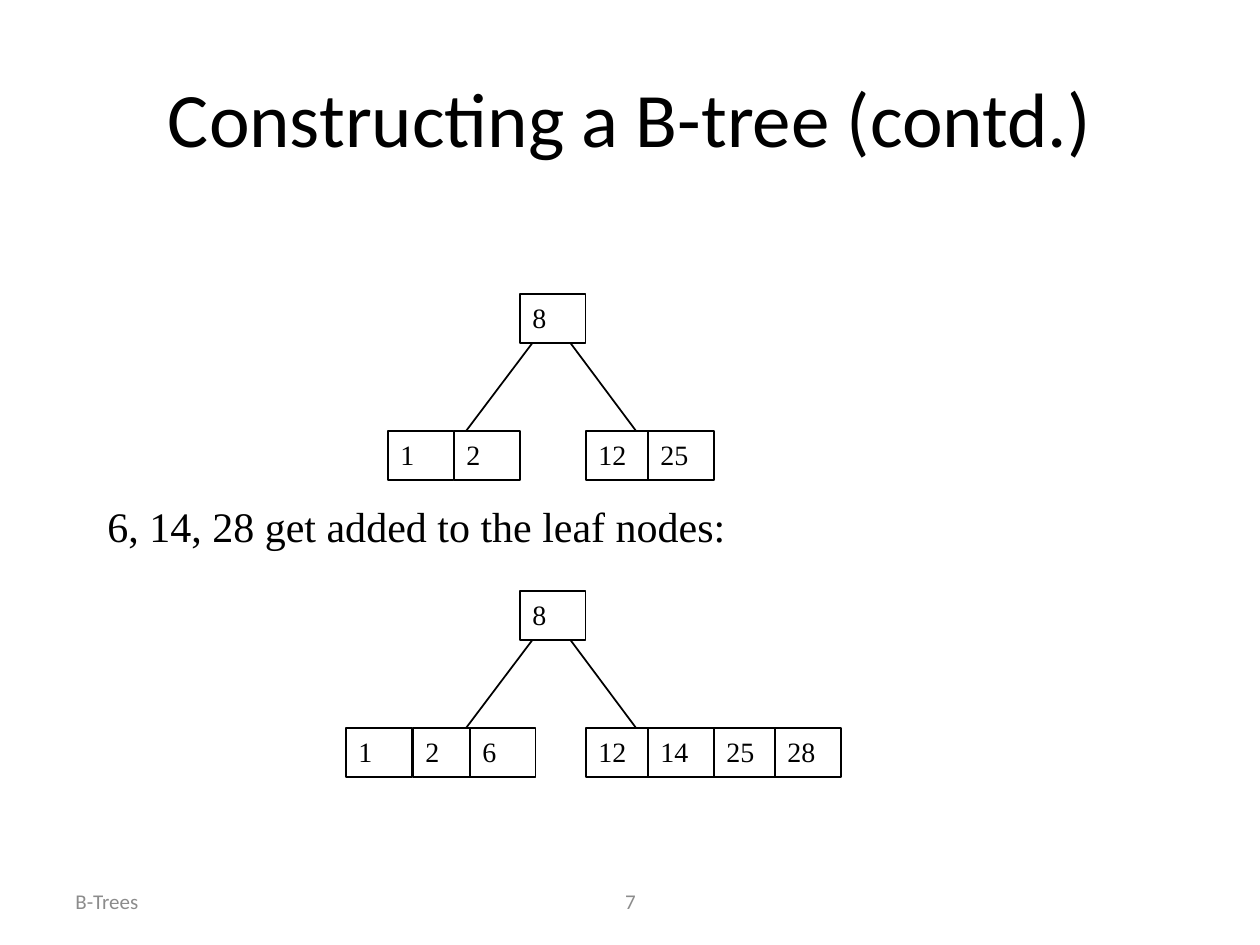
from dataclasses import dataclass

from lxml.etree import SubElement
from pptx import Presentation
from pptx.dml.color import RGBColor
from pptx.enum.shapes import MSO_CONNECTOR, MSO_SHAPE
from pptx.enum.text import MSO_ANCHOR, PP_ALIGN
from pptx.oxml.ns import qn
from pptx.util import Emu, Pt

EMU_PER_PX = 914400 // 126


@dataclass(frozen=True)
class Theme:
    ink: RGBColor = RGBColor(0x00, 0x00, 0x00)
    paper: RGBColor = RGBColor(0xFF, 0xFF, 0xFF)
    muted: RGBColor = RGBColor(0x8C, 0x8C, 0x8C)
    sans: str = "Calibri"
    serif: str = "Times New Roman"
    title_size: int = 44
    body_size: int = 24
    key_size: int = 16
    footer_size: int = 12


def px(*lengths):
    return [Emu(length * EMU_PER_PX) for length in lengths]


class SlideBuilder:
    def __init__(self, slide, theme):
        self.slide = slide
        self.theme = theme

    def set_text(self, shape, text, size, font, color, align, anchor):
        frame = shape.text_frame
        frame.word_wrap = True
        frame.vertical_anchor = anchor
        paragraph = frame.paragraphs[0]
        paragraph.text = text
        paragraph.alignment = align
        paragraph.font.size = Pt(size)
        paragraph.font.name = font
        paragraph.font.color.rgb = color

    def title(self, text, left, top, width, height):
        shape = self.slide.shapes.title
        shape.left, shape.top, shape.width, shape.height = px(left, top, width, height)
        self.set_text(shape, text, self.theme.title_size, self.theme.sans,
                      self.theme.ink, PP_ALIGN.CENTER, MSO_ANCHOR.MIDDLE)

    def footer(self, text, left, width, align):
        shape = self.slide.shapes.add_textbox(*px(left, 876, width, 50))
        self.set_text(shape, text, self.theme.footer_size, self.theme.sans,
                      self.theme.muted, align, MSO_ANCHOR.MIDDLE)

    def caption(self, text, left, top, width, height):
        shape = self.slide.shapes.add_textbox(*px(left, top, width, height))
        self.set_text(shape, text, self.theme.body_size, self.theme.serif,
                      self.theme.ink, PP_ALIGN.LEFT, MSO_ANCHOR.TOP)

    def branch(self, start_x, start_y, end_x, end_y):
        connector = self.slide.shapes.add_connector(
            MSO_CONNECTOR.STRAIGHT, *px(start_x, start_y, end_x, end_y))
        connector.line.color.rgb = self.theme.ink
        connector.line.width = Pt(1)
        SubElement(connector._element.spPr, qn("a:effectLst"))

    def key_cell(self, key, left, top):
        shape = self.slide.shapes.add_shape(
            MSO_SHAPE.RECTANGLE, *px(left, top, 66, 49))
        shape.shadow.inherit = False
        shape.fill.solid()
        shape.fill.fore_color.rgb = self.theme.paper
        shape.line.color.rgb = self.theme.ink
        shape.line.width = Pt(0.75)
        self.set_text(shape, str(key), self.theme.key_size, self.theme.serif,
                      self.theme.ink, PP_ALIGN.LEFT, MSO_ANCHOR.TOP)

    def tree(self, top, root, leaves):
        for start_x, end_x in ((546, 451), (557, 651)):
            self.branch(start_x, top + 31, end_x, top + 157)
        self.key_cell(root, 520, top)
        for key, left in leaves:
            self.key_cell(key, left, top + 137)


def main():
    presentation = Presentation()
    presentation.slide_width, presentation.slide_height = px(1260, 945)
    slide = presentation.slides.add_slide(presentation.slide_layouts[5])
    builder = SlideBuilder(slide, Theme())

    builder.footer("B-Trees", 63, 294, PP_ALIGN.LEFT)
    builder.footer("7", 431, 399, PP_ALIGN.CENTER)
    builder.title("Constructing a B-tree (contd.)", 63, 38, 1134, 157)
    builder.tree(294, 8, [(1, 388), (2, 454), (12, 586), (25, 648)])
    builder.caption("6, 14, 28 get added to the leaf nodes:", 95, 494, 1081, 63)
    builder.tree(591, 8, [(1, 346), (2, 413), (6, 470),
                          (12, 586), (14, 648), (25, 714), (28, 775)])

    presentation.save("out.pptx")


if __name__ == "__main__":
    main()
